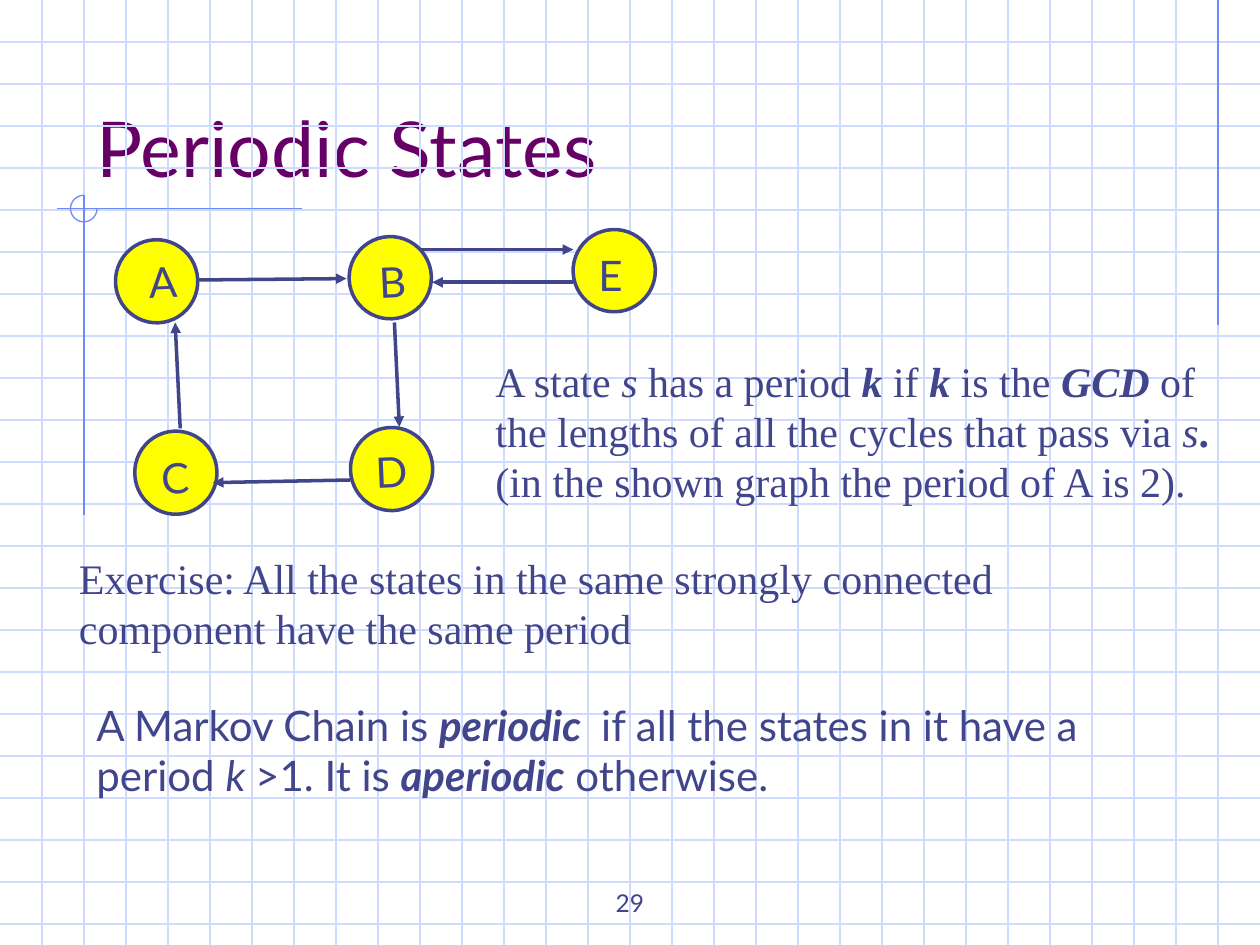
import pptx
import pptx.dml.color
import pptx.enum.shapes
import pptx.enum.text
import pptx.oxml.ns
import pptx.util
from lxml import etree

Pt = pptx.util.Pt
ANCHOR = pptx.enum.text.MSO_ANCHOR
ALIGN = pptx.enum.text.PP_ALIGN
SHAPES = pptx.enum.shapes.MSO_SHAPE

WIDTH, HEIGHT, GRID_STEP = 720, 540, 24
TILT = 357.5
SANS, SERIF = "Lato", "Times New Roman"
COLORS = {
    "background": "FFFFFF",
    "grid": "CFDBFD",
    "ornament": "6F89F7",
    "ink": "40458C",
    "title": "660066",
    "node": "FFFF00",
}

# Node: circle left, top, width, height; label left, top, width; rotation of label
NODES = {
    "A": ((66, 137, 47, 47.5), (77.8, 142.6, 29.5), TILT),
    "B": ((199.5, 135.2, 47, 47), (209.5, 142.6, 29.5), TILT),
    "C": ((77, 246.4, 47, 47.5), (85, 254.9, 29.5), TILT),
    "D": ((200.3, 244.3, 47, 47.5), (207.4, 251.3, 31.7), TILT),
    "E": ((327.5, 131.2, 47, 47), (334.8, 139, 28.8), 0),
}

# Arrows between states, from start point to arrowhead
ARROWS = [
    ((112.5, 160), (198, 159.2)),      # A to B
    ((225.4, 184.3), (228.2, 244)),    # B to D
    ((200.2, 274.3), (121.7, 275.8)),  # D to C
    ((103, 244.8), (100.1, 184.3)),    # C to A
    ((239.8, 142.6), (327.6, 142.6)),  # B to E
    ((327.6, 161.3), (247, 161.3)),    # E to B
]

PERIOD_RUNS = [
    ("A state ", ""), ("s ", "i"), ("has a period ", ""), ("k", "bi"),
    (" if ", ""), ("k", "bi"), (" is the ", ""), ("GCD", "bi"),
    (" of the lengths of all the cycles that pass via ", ""), ("s", "i"),
    (". ", "b"), ("(in the shown graph the period of A is 2).", ""),
]
EXERCISE_RUNS = [
    ("Exercise: All the states in the same strongly connected "
     "component have the same period", ""),
]
CHAIN_RUNS = [
    ("A Markov Chain is ", ""), ("periodic ", "bi"),
    (" if all the states in it have a period ", ""), ("k ", "i"),
    (">1. It is ", ""), ("aperiodic", "bi"), (" otherwise.", ""),
]


def rgb(name):
    return pptx.dml.color.RGBColor.from_string(COLORS[name])


def style_font(font, name, size, color):
    font.name = name
    font.size = Pt(size)
    font.color.rgb = rgb(color)


def add_line(slide, start, end, color, width=0.75, arrow=False):
    connector = slide.shapes.add_connector(
        pptx.enum.shapes.MSO_CONNECTOR.STRAIGHT,
        *(Pt(value) for value in (*start, *end)))
    connector.line.color.rgb = rgb(color)
    connector.line.width = Pt(width)
    if arrow:
        etree.SubElement(connector.line._get_or_add_ln(),
                         pptx.oxml.ns.qn("a:tailEnd"), type="triangle")
    etree.SubElement(connector._element.spPr, pptx.oxml.ns.qn("a:effectLst"))


def add_outline_shape(slide, kind, box, color, width):
    shape = slide.shapes.add_shape(kind, *(Pt(value) for value in box))
    shape.shadow.inherit = False
    shape.fill.background()
    shape.line.color.rgb = rgb(color)
    shape.line.width = Pt(width)
    return shape


def add_text(slide, box, runs, font=SANS, size=24, wrap=True):
    shape = slide.shapes.add_textbox(*(Pt(value) for value in box))
    shape.text_frame.word_wrap = wrap
    paragraph = shape.text_frame.paragraphs[0]
    for text, style in runs:
        run = paragraph.add_run()
        run.text = text
        style_font(run.font, font, size, "ink")
        run.font.bold = "b" in style
        run.font.italic = "i" in style
    return shape


def add_background(slide):
    slide.background.fill.solid()
    slide.background.fill.fore_color.rgb = rgb("background")
    # Graph paper
    for y in range(GRID_STEP, HEIGHT, GRID_STEP):
        add_line(slide, (0, y), (WIDTH, y), "grid")
    for x in range(GRID_STEP, WIDTH, GRID_STEP):
        add_line(slide, (x, 0), (x, HEIGHT), "grid")
    # Ornament lines and three-quarter circle
    add_line(slide, (696, 0), (696, 186), "ornament")
    add_line(slide, (172.8, 119.2), (32.4, 119.2), "ornament")
    add_line(slide, (48, 111.6), (48, 294.5), "ornament")
    arc = add_outline_shape(slide, SHAPES.ARC, (40.3, 111.6, 15.2, 15.2),
                            "ornament", 0.75)
    arc.adjustments[0] = 0
    arc.adjustments[1] = 162


def add_title(slide):
    title = slide.shapes.title
    title.left, title.top, title.width, title.height = (
        Pt(value) for value in (48, 24, 612, 90))
    title.text_frame.text = "Periodic States"
    title.text_frame.vertical_anchor = ANCHOR.BOTTOM
    paragraph = title.text_frame.paragraphs[0]
    paragraph.alignment = ALIGN.LEFT
    style_font(paragraph.runs[0].font, SANS, 44, "title")


def add_node(slide, name, circle_box, label_box, label_rotation):
    circle = add_outline_shape(slide, SHAPES.OVAL, circle_box, "ink", 2)
    circle.fill.solid()
    circle.fill.fore_color.rgb = rgb("node")
    circle.rotation = TILT
    label = add_text(slide, (*label_box, 36), [(name, "")], wrap=False)
    label.rotation = label_rotation


def add_slide_number(slide):
    number = add_text(slide, (246, 492, 228, 36), [("29", "")], size=14)
    number.text_frame.vertical_anchor = ANCHOR.BOTTOM
    number.text_frame.paragraphs[0].alignment = ALIGN.CENTER


def main():
    presentation = pptx.Presentation()
    presentation.slide_width = Pt(WIDTH)
    presentation.slide_height = Pt(HEIGHT)
    slide = presentation.slides.add_slide(presentation.slide_layouts[5])

    add_background(slide)
    add_slide_number(slide)
    add_title(slide)

    # State graph
    for name, (circle_box, label_box, rotation) in NODES.items():
        add_node(slide, name, circle_box, label_box, rotation)
    for start, end in ARROWS:
        add_line(slide, start, end, "ink", width=2, arrow=True)

    # Explanations
    add_text(slide, (276, 199.4, 426, 93.6), PERIOD_RUNS, font=SERIF)
    add_text(slide, (38, 312, 627, 65), EXERCISE_RUNS, font=SERIF)
    add_text(slide, (48, 396, 642, 65), CHAIN_RUNS)

    presentation.save("out.pptx")


if __name__ == "__main__":
    main()
